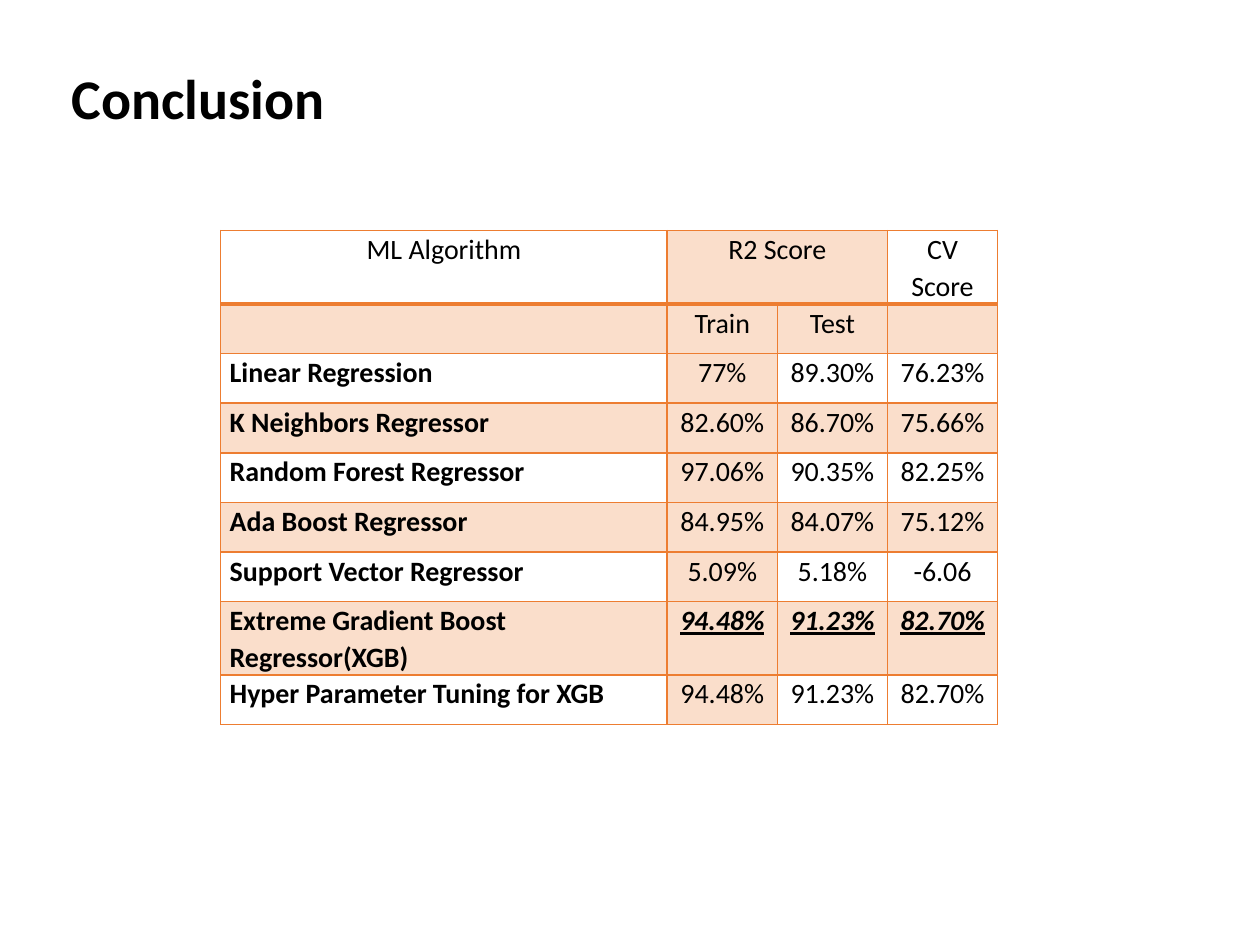
from pptx import Presentation
from pptx.dml.color import RGBColor
from pptx.enum.text import MSO_ANCHOR, PP_ALIGN
from pptx.oxml.ns import qn
from pptx.util import Cm, Pt
from lxml.etree import SubElement

# Content
TITLE = "Conclusion"
ROWS = [
    ("ML Algorithm", "R2 Score", "", "CV Score"),
    ("", "Train", "Test", ""),
    ("Linear Regression", "77%", "89.30%", "76.23%"),
    ("K Neighbors Regressor", "82.60%", "86.70%", "75.66%"),
    ("Random Forest Regressor", "97.06%", "90.35%", "82.25%"),
    ("Ada Boost Regressor", "84.95%", "84.07%", "75.12%"),
    ("Support Vector Regressor", "5.09%", "5.18%", "-6.06"),
    ("Extreme Gradient Boost Regressor(XGB)", "94.48%", "91.23%", "82.70%"),
    ("Hyper Parameter Tuning for XGB", "94.48%", "91.23%", "82.70%"),
]
HEADER_ROWS = 2
BEST_ROW = 7
COLORS = {"text": "000000", "band": "FADECB", "border": "ED7D31"}
FONT = "Calibri"
COL_WIDTHS = [Cm(9), Cm(2.22), Cm(2.22), Cm(2.22)]
HEADER_HEIGHT, ROW_HEIGHT = Cm(1.4), Cm(1)


def style_font(font, size, bold=False):
    font.name, font.size, font.bold = FONT, Pt(size), bold
    font.color.rgb = RGBColor.from_string(COLORS["text"])


def set_borders(cell, row):
    """Outline a cell, with a heavier rule below the top row."""
    tcPr = cell._tc.get_or_add_tcPr()
    heavy = {0: "a:lnB", 1: "a:lnT"}.get(row)
    for i, tag in enumerate(("a:lnL", "a:lnR", "a:lnT", "a:lnB")):
        ln = tcPr.makeelement(qn(tag), {"w": str(Pt(2.25 if tag == heavy else 1))})
        fill = SubElement(ln, qn("a:solidFill"))
        SubElement(fill, qn("a:srgbClr"), val=COLORS["border"])
        tcPr.insert(i, ln)


def fill_cell(cell, text, row, col):
    # Text
    cell.margin_left = cell.margin_right = Cm(0.18)
    cell.margin_top = cell.margin_bottom = 0
    cell.vertical_anchor = MSO_ANCHOR.TOP
    cell.text = text
    p = cell.text_frame.paragraphs[0]
    is_name = col == 0 and row >= HEADER_ROWS
    p.alignment = PP_ALIGN.LEFT if is_name else PP_ALIGN.CENTER
    p.line_spacing = 1.07
    style_font(p.font, 16, bold=is_name or row == BEST_ROW)
    if row == BEST_ROW and not is_name:
        p.font.italic = p.font.underline = True
    # Bands: every second row and the first score column
    if row % 2 == 1 or col == 1:
        cell.fill.solid()
        cell.fill.fore_color.rgb = RGBColor.from_string(COLORS["band"])
    else:
        cell.fill.background()
    set_borders(cell, row)


def main():
    prs = Presentation()
    prs.slide_width, prs.slide_height = Cm(25.4), Cm(19.05)
    s = prs.slides.add_slide(prs.slide_layouts[5])

    # Title
    title = s.shapes.title
    title.left, title.top, title.width, title.height = Cm(1.19), Cm(0.64), Cm(22.86), Cm(2.62)
    tf = title.text_frame
    tf.text = TITLE
    tf.vertical_anchor = MSO_ANCHOR.MIDDLE
    p = tf.paragraphs[0]
    p.alignment = PP_ALIGN.LEFT
    style_font(p.font, 32, bold=True)

    # Score table
    height = HEADER_HEIGHT + ROW_HEIGHT * (len(ROWS) - 1)
    table = s.shapes.add_table(len(ROWS), len(COL_WIDTHS), Cm(4.45), Cm(4.65),
                               sum(COL_WIDTHS), height).table
    table.first_row = table.horz_banding = False
    for column, width in zip(table.columns, COL_WIDTHS):
        column.width = width
    for r, values in enumerate(ROWS):
        table.rows[r].height = ROW_HEIGHT if r else HEADER_HEIGHT
        for c, text in enumerate(values):
            fill_cell(table.cell(r, c), text, r, c)
    table.cell(0, 1).merge(table.cell(0, 2))

    prs.save("out.pptx")


if __name__ == "__main__":
    main()
